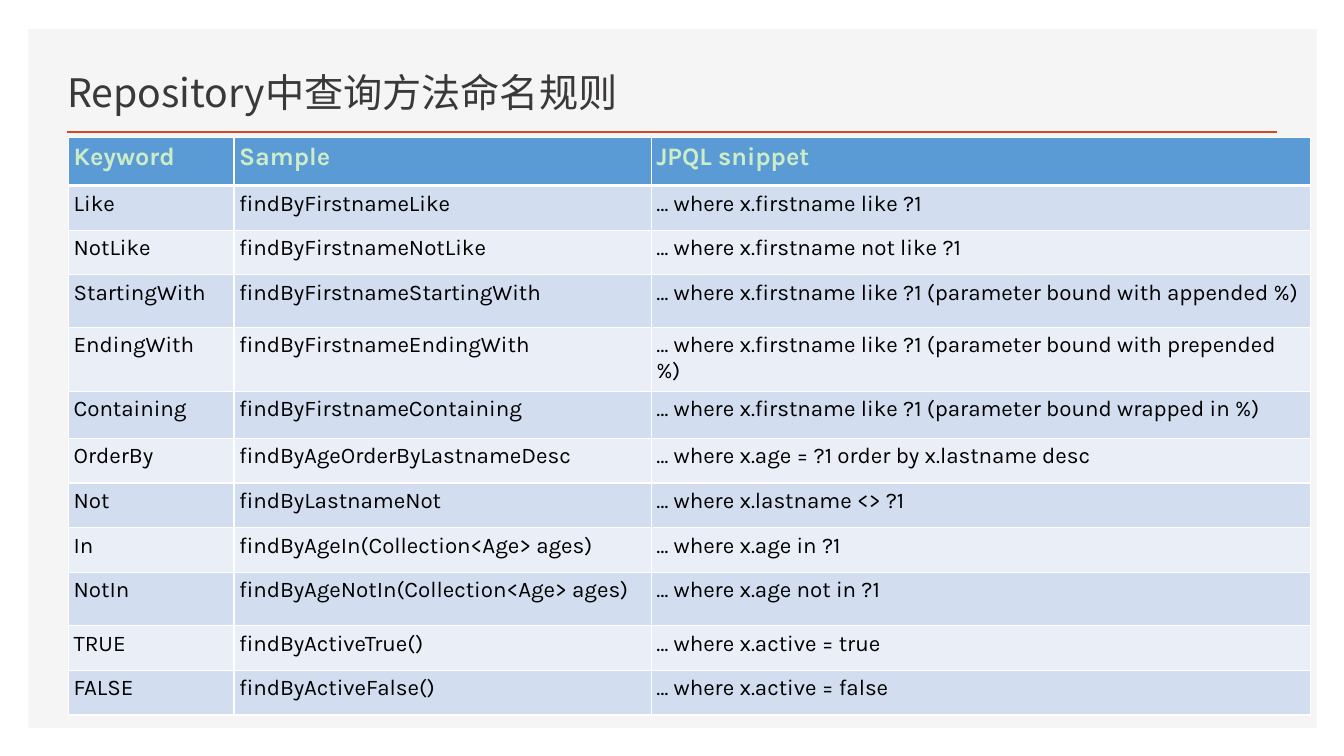
from dataclasses import dataclass
from lxml.etree import SubElement
from pptx import Presentation
from pptx.dml.color import RGBColor
from pptx.enum.shapes import MSO_CONNECTOR, MSO_SHAPE
from pptx.enum.text import MSO_ANCHOR
from pptx.oxml.ns import qn
from pptx.util import Pt


@dataclass(frozen=True)
class Theme:
    background: str = "FFFFFF"
    panel: str = "F5F5F5"
    rule: str = "D24726"
    title: str = "3B3838"
    header: str = "5B9BD5"
    header_text: str = "CCEDC7"
    bands: tuple = ("D2DEEF", "EAEFF7")
    body_text: str = "000000"
    border: str = "FFFFFF"
    title_font: str = "Noto Sans CJK SC"
    table_font: str = "Karla"
    title_size: int = 28
    header_size: int = 18
    body_size: int = 16


THEME = Theme()
COLUMN_WIDTHS = (118.2, 298, 471)
HEADER_HEIGHT = 34.6
ROW_HEIGHT = 31.9
TALL_ROWS = {"StartingWith": 37.4, "EndingWith": 39.3, "Containing": 33.8, "NotIn": 38.2}
HEADINGS = ("Keyword", "Sample", "JPQL snippet")
RULES = (
    ("Like", "findByFirstnameLike", "x.firstname like ?1"),
    ("NotLike", "findByFirstnameNotLike", "x.firstname not like ?1"),
    ("StartingWith", "findByFirstnameStartingWith",
     "x.firstname like ?1 (parameter bound with appended %)"),
    ("EndingWith", "findByFirstnameEndingWith",
     "x.firstname like ?1 (parameter bound with prepended %)"),
    ("Containing", "findByFirstnameContaining",
     "x.firstname like ?1 (parameter bound wrapped in %)"),
    ("OrderBy", "findByAgeOrderByLastnameDesc", "x.age = ?1 order by x.lastname desc"),
    ("Not", "findByLastnameNot", "x.lastname <> ?1"),
    ("In", "findByAgeIn(Collection<Age> ages)", "x.age in ?1"),
    ("NotIn", "findByAgeNotIn(Collection<Age> ages)", "x.age not in ?1"),
    ("TRUE", "findByActiveTrue()", "x.active = true"),
    ("FALSE", "findByActiveFalse()", "x.active = false"),
)


def rgb(color):
    return RGBColor.from_string(color)


def add_run(p, text, font, size, color, bold=False):
    r = p.add_run()
    r.text = text
    r.font.name = font
    r.font.size = Pt(size)
    r.font.bold = bold
    r.font.color.rgb = rgb(color)
    SubElement(r.font._element, qn("a:ea"), typeface=font)


def set_borders(cell, bottom):
    tc_pr = cell._tc.get_or_add_tcPr()
    widths = {"a:lnL": 1, "a:lnR": 1, "a:lnT": 1, "a:lnB": bottom}
    for index, (tag, width) in enumerate(widths.items()):
        ln = SubElement(tc_pr, qn(tag), w=str(Pt(width)))
        fill = SubElement(ln, qn("a:solidFill"))
        SubElement(fill, qn("a:srgbClr"), val=THEME.border)
        tc_pr.insert(index, ln)


def fill_cell(cell, text, fill, size, color, bold, bottom):
    cell.margin_left = cell.margin_right = Pt(3.6)
    cell.margin_top = cell.margin_bottom = Pt(3.6)
    cell.fill.solid()
    cell.fill.fore_color.rgb = rgb(fill)
    set_borders(cell, bottom)
    add_run(cell.text_frame.paragraphs[0], text, THEME.table_font, size, color, bold)


def add_panel(s, x, y, w, h):
    sp = s.shapes.add_shape(MSO_SHAPE.RECTANGLE, Pt(x), Pt(y), Pt(w), Pt(h))
    sp.shadow.inherit = False
    sp.fill.solid()
    sp.fill.fore_color.rgb = rgb(THEME.panel)
    sp.line.fill.background()


def add_title(s, x, y, w, h, text):
    sp = s.shapes.add_textbox(Pt(x), Pt(y), Pt(541.4), Pt(h - 8.6))
    tf = sp.text_frame
    tf.word_wrap = True
    tf.vertical_anchor = MSO_ANCHOR.BOTTOM
    add_run(tf.paragraphs[0], text, THEME.title_font, THEME.title_size, THEME.title)
    left, bottom = Pt(x + 6.8), Pt(y + h)
    rule = s.shapes.add_connector(MSO_CONNECTOR.STRAIGHT, left, bottom, Pt(x + w), bottom)
    rule.line.color.rgb = rgb(THEME.rule)
    rule.line.width = Pt(2)
    SubElement(rule._element.spPr, qn("a:effectLst"))


def add_rules_table(s, x, y, w, h):
    frame = s.shapes.add_table(len(RULES) + 1, len(HEADINGS), Pt(x), Pt(y), Pt(w), Pt(h))
    table = frame.table
    for column, width in zip(table.columns, COLUMN_WIDTHS):
        column.width = Pt(width)
    table.rows[0].height = Pt(HEADER_HEIGHT)
    for cell, text in zip(table.rows[0].cells, HEADINGS):
        fill_cell(cell, text, THEME.header, THEME.header_size, THEME.header_text, True, 3)
    for index, (keyword, sample, condition) in enumerate(RULES):
        row = table.rows[index + 1]
        row.height = Pt(TALL_ROWS.get(keyword, ROW_HEIGHT))
        for cell, text in zip(row.cells, (keyword, sample, f"… where {condition}")):
            fill_cell(cell, text, THEME.bands[index % 2], THEME.body_size,
                      THEME.body_text, False, 1)


def build_slide(prs):
    s = prs.slides.add_slide(prs.slide_layouts[6])
    s.background.fill.solid()
    s.background.fill.fore_color.rgb = rgb(THEME.background)
    add_panel(s, 20.2, 20.9, 920.2, 499)
    add_title(s, 41, 35.3, 871.2, 59, "Repository中查询方法命名规则")
    add_rules_table(s, 49, 98, sum(COLUMN_WIDTHS), 406.6)


prs = Presentation()
prs.slide_width = Pt(960)
prs.slide_height = Pt(540)
build_slide(prs)
prs.save("out.pptx")
